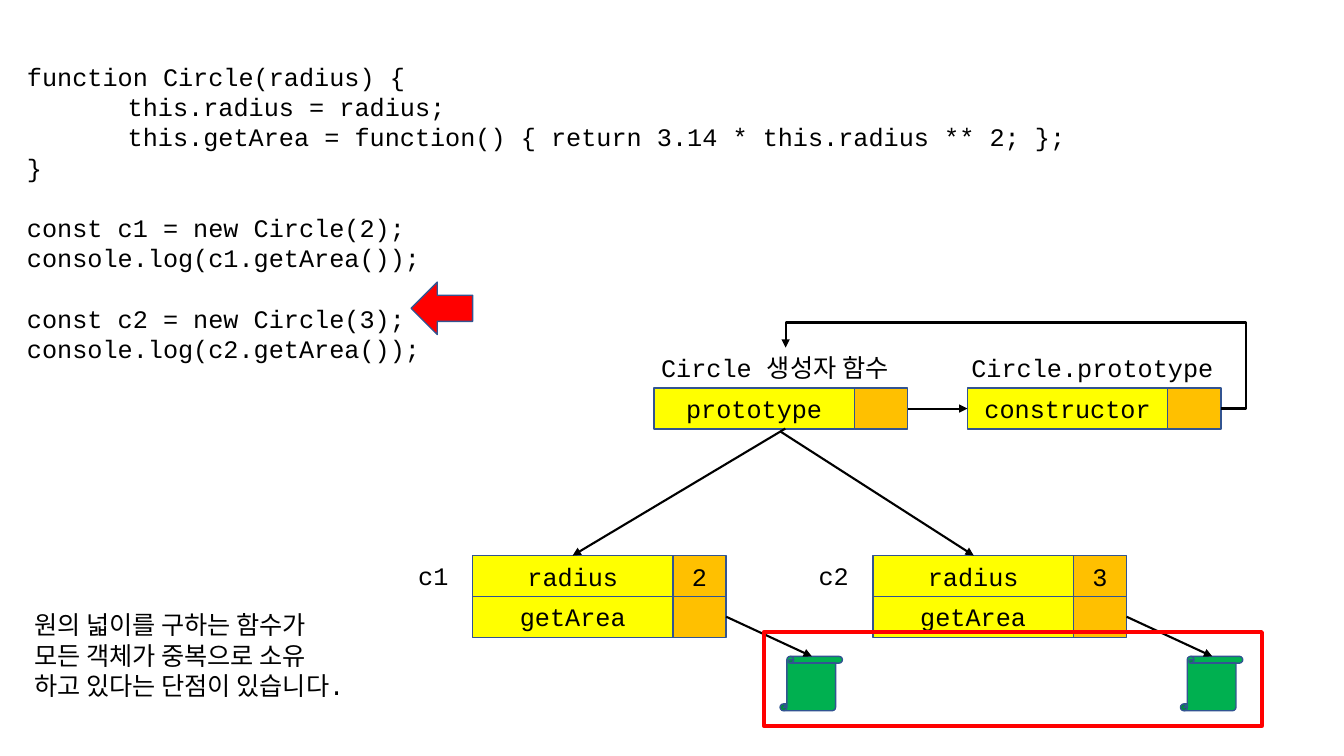
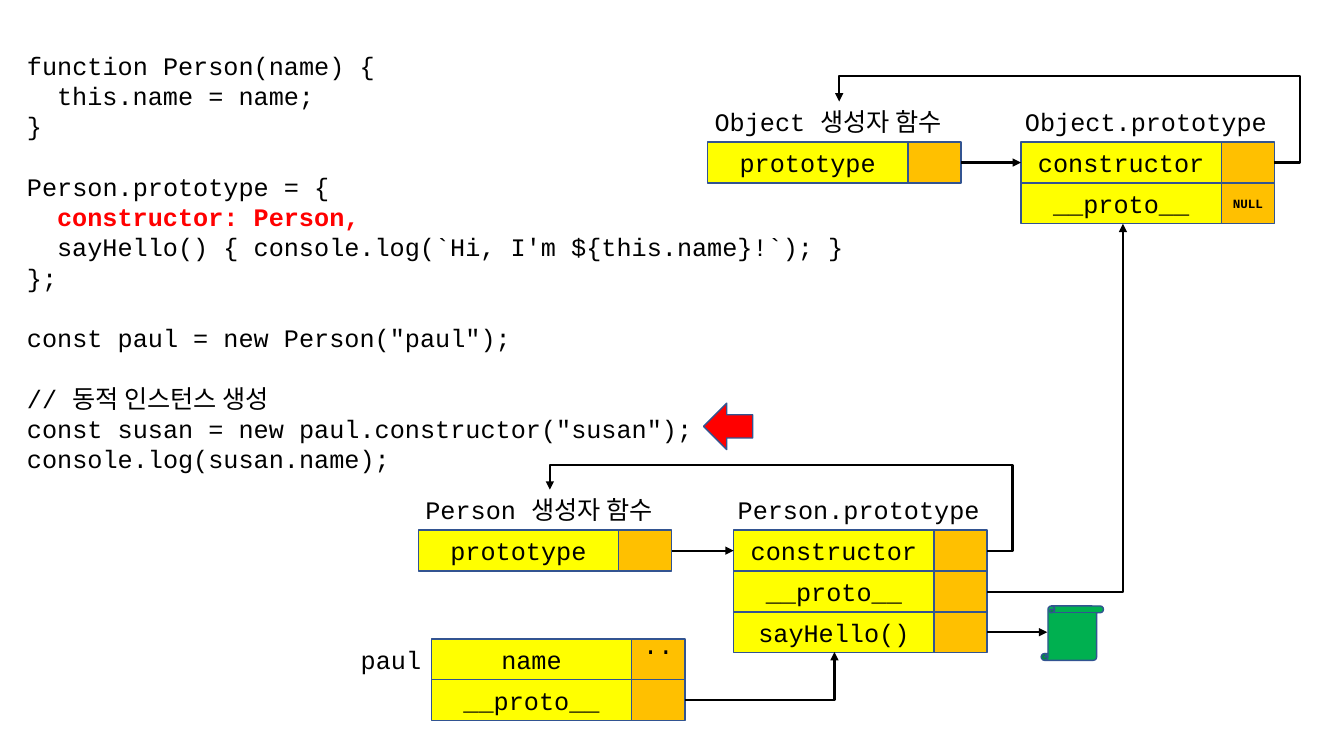
"""Build two slides on constructors and prototypes."""
from dataclasses import dataclass

from lxml.etree import SubElement
from pptx import Presentation
from pptx.dml.color import RGBColor
from pptx.enum.shapes import MSO_CONNECTOR, MSO_SHAPE
from pptx.enum.text import MSO_AUTO_SIZE
from pptx.oxml.ns import qn
from pptx.slide import Slide
from pptx.text.text import _Paragraph
from pptx.util import Cm, Pt

BLACK = RGBColor(0x00, 0x00, 0x00)
WHITE = RGBColor(0xFF, 0xFF, 0xFF)
RED = RGBColor(0xFF, 0x00, 0x00)
YELLOW = RGBColor(0xFF, 0xFF, 0x00)
ORANGE = RGBColor(0xFF, 0xC0, 0x00)
GREEN = RGBColor(0x00, 0xB0, 0x50)
BLUE = RGBColor(0x32, 0x54, 0x91)
FONT = "Courier New"
SIZE = 18
GAP = 21.6
KEY_W, VAL_W, ROW_H = 5.05, 1.34, 1.03
LABEL_H = 1.02
LOOP = (-5800, 141300)

Point = tuple[float, float]


@dataclass(frozen=True)
class Line:
    """One line of text, with its indent in cm."""
    text: str
    indent: float = 0
    gap: bool = False
    color: RGBColor = BLACK
    bold: bool = False


@dataclass(frozen=True)
class Row:
    """A key cell and its value cell."""
    key: str
    val: str = ""
    size: float = SIZE
    bold: bool = False


@dataclass(frozen=True)
class Pair:
    """A constructor function beside its prototype object."""
    name: str
    left: float
    top: float
    right: float
    rows: tuple[Row, ...] = (Row("constructor"),)


@dataclass(frozen=True)
class Thing:
    """An instance with its name to the left."""
    name: str
    left: float
    top: float
    shift: float
    width: float
    rows: tuple[Row, ...]


def add_run(par: _Paragraph, text: str, size: float = SIZE,
            color: RGBColor = BLACK, bold: bool = False) -> None:
    """Add one run in the shared font."""
    run = par.add_run()
    run.text = text
    font = run.font
    font.name, font.size, font.bold = FONT, Pt(size), bold
    font.color.rgb = color


def add_text(slide: Slide, left: float, top: float, width: float,
             height: float, lines: tuple[Line, ...]) -> None:
    """Add a text box that does not wrap."""
    box = slide.shapes.add_textbox(Cm(left), Cm(top), Cm(width), Cm(height))
    frame = box.text_frame
    frame.word_wrap = False
    frame.auto_size = MSO_AUTO_SIZE.SHAPE_TO_FIT_TEXT
    for num, line in enumerate(lines):
        par = frame.add_paragraph() if num else frame.paragraphs[0]
        if line.gap:
            par.space_before = Pt(GAP)
        if line.indent:
            props = par._p.get_or_add_pPr()
            props.set("marL", str(Cm(line.indent)))
            props.set("indent", "0")
        add_run(par, line.text, SIZE, line.color, line.bold)


def add_label(slide: Slide, left: float, top: float, width: float,
              text: str) -> None:
    """Add a label of one line."""
    add_text(slide, left, top, width, LABEL_H, (Line(text),))


def add_form(shapes, kind: MSO_SHAPE, left: float, top: float, width: float,
             height: float, fill: RGBColor | None, edge: RGBColor = BLUE,
             weight: float = 1):
    """Add a preset shape with a flat fill and edge."""
    form = shapes.add_shape(kind, Cm(left), Cm(top), Cm(width), Cm(height))
    form.shadow.inherit = False
    if fill is None:
        form.fill.background()
    else:
        form.fill.solid()
        form.fill.fore_color.rgb = fill
    form.line.color.rgb = edge
    form.line.width = Pt(weight)
    return form


def add_rows(slide: Slide, left: float, top: float,
             rows: tuple[Row, ...]) -> None:
    """Stack rows of key and value cells."""
    for num, row in enumerate(rows):
        group = slide.shapes.add_group_shape()
        high = top + num * ROW_H
        key = add_form(group.shapes, MSO_SHAPE.RECTANGLE, left, high,
                       KEY_W, ROW_H, YELLOW)
        add_run(key.text_frame.paragraphs[0], row.key)
        val = add_form(group.shapes, MSO_SHAPE.RECTANGLE, left + KEY_W, high,
                       VAL_W, ROW_H, ORANGE)
        if row.val:
            add_run(val.text_frame.paragraphs[0], row.val, row.size,
                    bold=row.bold)


def add_link(slide: Slide, start: Point, end: Point, bend: str = "",
             turns: tuple[int, ...] = ()) -> None:
    """Add an arrow, straight or bent."""
    kind = MSO_CONNECTOR.ELBOW if bend else MSO_CONNECTOR.STRAIGHT
    link = slide.shapes.add_connector(kind, *map(Cm, start + end))
    link.line.color.rgb = BLACK
    link.line.width = Pt(1.5)
    props = link._element.spPr
    if bend:
        form = props.find(qn("a:prstGeom"))
        form.set("prst", bend)
        guides = form.find(qn("a:avLst"))
        for num, turn in enumerate(turns, 1):
            SubElement(guides, qn("a:gd"), name=f"adj{num}",
                       fmla=f"val {turn}")
    SubElement(props.find(qn("a:ln")), qn("a:tailEnd"), type="triangle")
    SubElement(props, qn("a:effectLst"))


def add_pair(slide: Slide, pair: Pair) -> None:
    """Draw a constructor, its prototype and the loop between them."""
    mid, above = pair.top + ROW_H / 2, pair.top - LABEL_H
    wide = KEY_W + VAL_W
    add_rows(slide, pair.left, pair.top, (Row("prototype"),))
    add_rows(slide, pair.right, pair.top, pair.rows)
    add_label(slide, pair.left - 0.07, above, 6.78, f"{pair.name} 생성자 함수")
    add_label(slide, pair.right - 0.15, above, 6.63, f"{pair.name}.prototype")
    add_link(slide, (pair.left + wide, mid), (pair.right, mid))
    add_link(slide, (pair.right + wide, mid), (pair.left + 3.32, above),
             "bentConnector4", LOOP)


def add_thing(slide: Slide, thing: Thing) -> None:
    """Draw an instance and its name."""
    add_label(slide, thing.left - thing.shift, thing.top, thing.width,
              thing.name)
    add_rows(slide, thing.left, thing.top, thing.rows)


def add_scroll(slide: Slide, left: float, top: float) -> None:
    """Draw the scroll that stands for a function body."""
    add_form(slide.shapes, MSO_SHAPE.VERTICAL_SCROLL, left, top, 1.57, 1.37,
             GREEN)


def add_mark(slide: Slide, left: float, top: float, width: float,
             height: float) -> None:
    """Draw the red arrow that marks a code line."""
    add_form(slide.shapes, MSO_SHAPE.LEFT_ARROW, left, top, width, height, RED)


CIRCLE_CODE = (
    Line("function Circle(radius) {"),
    Line("this.radius = radius;", 2.54),
    Line("this.getArea = function() { return 3.14 * this.radius ** 2; };",
         2.54),
    Line("}"),
    Line("const c1 = new Circle(2);", gap=True),
    Line("console.log(c1.getArea());"),
    Line("const c2 = new Circle(3);", gap=True),
    Line("console.log(c2.getArea());"),
)
NOTE = (
    Line("원의 넓이를 구하는 함수가"),
    Line("모든 객체가 중복으로 소유"),
    Line("하고 있다는 단점이 있습니다."),
)
PERSON_CODE = (
    Line("function Person(name) {"),
    Line("this.name = name;", 0.76),
    Line("}"),
    Line("Person.prototype = {", gap=True),
    Line("constructor: Person,", 0.76, color=RED, bold=True),
    Line("sayHello() { console.log(`Hi, I'm ${this.name}!`); }", 0.76),
    Line("};"),
    Line('const paul = new Person("paul");', gap=True),
    Line("// 동적 인스턴스 생성", gap=True),
    Line('const susan = new paul.constructor("susan");'),
    Line("console.log(susan.name);"),
)


def draw_circle(slide: Slide) -> None:
    """Draw the slide where each circle owns its method."""
    add_text(slide, 0.43, 1.42, 26.82, 7.95, CIRCLE_CODE)
    add_pair(slide, Pair("Circle", 16.48, 9.78, 24.38))
    add_mark(slide, 10.36, 7.11, 1.55, 1.32)
    for name, val, left in (("c1", "2", 11.91), ("c2", "3", 22)):
        add_thing(slide, Thing(name, left, 14, 1.62, 1.27,
                               (Row("radius", val), Row("getArea"))))
        add_scroll(slide, left + 7.75, 16.54)
        add_link(slide, (left + KEY_W + VAL_W, 15.54), (left + 8.55, 16.54))
    add_link(slide, (19.79, 10.8), (14.43, 14))
    add_link(slide, (19.66, 10.87), (24.54, 14))
    add_form(slide.shapes, MSO_SHAPE.RECTANGLE, 19.25, 15.93, 12.55, 2.36,
             None, RED, 3)
    add_text(slide, 0.61, 15.24, 9.73, 2.57, NOTE)


def draw_person(slide: Slide) -> None:
    """Draw the slide on the chain from paul to Object."""
    proto = Row("__proto__")
    add_text(slide, 0.43, 1.14, 21.18, 11.02, PERSON_CODE)
    add_pair(slide, Pair("Object", 17.83, 3.58, 25.73, (
        Row("constructor"), Row("__proto__", "NULL", 9, True))))
    add_pair(slide, Pair("Person", 10.54, 13.36, 18.49, (
        Row("constructor"), proto, Row("sayHello()"))))
    add_mark(slide, 17.73, 10.16, 1.24, 1.17)
    add_scroll(slide, 26.24, 15.27)
    add_link(slide, (24.88, 15.93), (26.39, 15.93))
    add_link(slide, (24.88, 14.91), (28.3, 5.64), "bentConnector2")
    add_thing(slide, Thing("paul", 10.87, 16.1, 2.03, 2.06,
                           (Row("name", "..."), proto)))
    add_link(slide, (17.26, 17.65), (21.03, 16.43), "bentConnector2")


def main() -> None:
    """Build and save the deck."""
    deck = Presentation()
    deck.slide_width, deck.slide_height = Cm(33.87), Cm(19.05)
    for draw in (draw_circle, draw_person):
        slide = deck.slides.add_slide(deck.slide_layouts[6])
        slide.background.fill.solid()
        slide.background.fill.fore_color.rgb = WHITE
        draw(slide)
    deck.save("out.pptx")


main()
